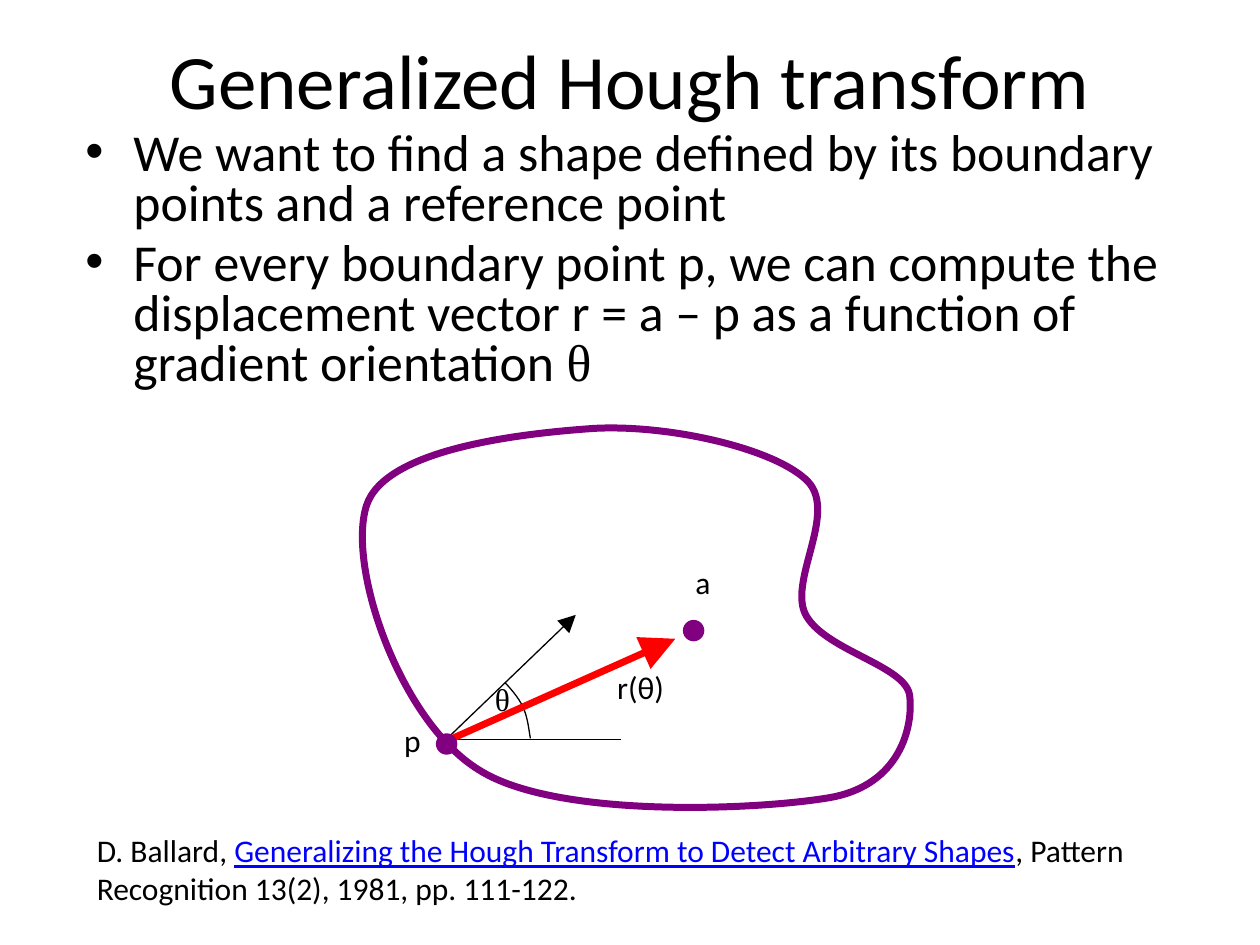
import pptx
import pptx.util
import pptx.dml.color
import pptx.enum.shapes
import pptx.enum.text
import pptx.oxml.ns
from lxml import etree

Inches = pptx.util.Inches
Pt = pptx.util.Pt
qn = pptx.oxml.ns.qn
ALIGN = pptx.enum.text.PP_ALIGN
ANCHOR = pptx.enum.text.MSO_ANCHOR
COLORS = {"ink": "000000", "outline": "800080", "vector": "FF0000", "citation": "0000FF"}
BODY, SYMBOL = "Calibri", "Times New Roman"


def color(name):
    return pptx.dml.color.RGBColor.from_string(COLORS[name])


class HoughSlide:
    def __init__(self, slide, size=18):
        self.shapes = slide.shapes
        self.size = size

    def text(self, at, paragraphs, size=None, align=ALIGN.LEFT, anchor=ANCHOR.TOP,
             bullets=False, wrap=True):
        size = size or self.size
        frame = self.shapes.add_textbox(*map(Inches, at)).text_frame
        frame.word_wrap = wrap
        frame.vertical_anchor = anchor
        for index, runs in enumerate(paragraphs):
            paragraph = frame.add_paragraph() if index else frame.paragraphs[0]
            paragraph.alignment = align
            if bullets:
                self.bullet(paragraph)
                paragraph.line_spacing = 0.8
                paragraph.space_before = Pt(0.2 * size if index else 0)
            for words, font, ink in runs:
                run = paragraph.add_run()
                run.text = words
                run.font.name = font
                run.font.size = Pt(size)
                run.font.color.rgb = color(ink)
                if ink == "citation":
                    run.font.underline = True

    def bullet(self, paragraph):
        properties = paragraph._p.get_or_add_pPr()
        properties.set("marL", str(Inches(0.38)))
        properties.set("indent", str(Inches(-0.38)))
        etree.SubElement(properties, qn("a:buFont"), typeface="Arial")
        etree.SubElement(properties, qn("a:buChar"), char="•")

    def label(self, at, words, font=BODY, wrap=True):
        self.text(at, [[(words, font, "ink")]], wrap=wrap)

    def line(self, start, end, ink="ink", width=0.75, arrow=False):
        line = self.shapes.add_connector(
            pptx.enum.shapes.MSO_CONNECTOR.STRAIGHT, *map(Inches, start + end))
        line.line.color.rgb = color(ink)
        line.line.width = Pt(width)
        if arrow:
            etree.SubElement(line.line._get_or_add_ln(), qn("a:tailEnd"),
                             type="triangle", w="lg", len="lg")
        etree.SubElement(line._element.spPr, qn("a:effectLst"))

    def curve(self, start, points, ink="ink", width=0.75, close=False):
        builder = self.shapes.build_freeform(*map(Inches, start))
        builder.add_line_segments(
            [tuple(map(Inches, point)) for point in points], close=close)
        curve = builder.convert_to_shape()
        self.bend(curve)
        curve.shadow.inherit = False
        curve.fill.background()
        curve.line.color.rgb = color(ink)
        curve.line.width = Pt(width)

    def bend(self, curve):
        straights = list(curve._element.iter(qn("a:lnTo")))
        for first in range(0, len(straights), 3):
            bezier = etree.Element(qn("a:cubicBezTo"))
            straights[first].addprevious(bezier)
            for straight in straights[first:first + 3]:
                bezier.append(straight[0])
                straight.getparent().remove(straight)

    def dot(self, left, top, diameter=0.17):
        dot = self.shapes.add_shape(
            pptx.enum.shapes.MSO_SHAPE.OVAL,
            *map(Inches, (left, top, diameter, diameter)))
        dot.shadow.inherit = False
        dot.fill.solid()
        dot.fill.fore_color.rgb = color("outline")
        dot.line.fill.background()


def main():
    deck = pptx.Presentation()
    deck.slide_width, deck.slide_height = Inches(10), Inches(7.5)
    page = HoughSlide(deck.slides.add_slide(deck.slide_layouts[6]))

    page.label((3.11, 5.67, 0.47, 0.57), "p")
    page.text((0.5, 0, 9, 1.25), [[("Generalized Hough transform", BODY, "ink")]],
              size=44, align=ALIGN.CENTER, anchor=ANCHOR.MIDDLE)
    page.text((0.58, 1, 8.92, 2.33), [
        [("We want to find a shape defined by its boundary points and a reference point",
          BODY, "ink")],
        [("For every boundary point p, we can compute the displacement vector "
          "r = a – p as a function of gradient orientation ", BODY, "ink"),
         ("θ", SYMBOL, "ink")],
    ], size=29.6, bullets=True)
    page.text((0.67, 6.55, 8.83, 0.7), [[
        ("D. Ballard, ", BODY, "ink"),
        ("Generalizing the Hough Transform to Detect Arbitrary Shapes", BODY, "citation"),
        (", Pattern Recognition 13(2), 1981, pp. 111-122.", BODY, "ink"),
    ]])

    page.line((3.57, 5.87), (4.93, 5.87))
    page.dot(5.42, 4.92)
    page.label((5.42, 4.42, 0.47, 0.57), "a")
    page.line((3.55, 5.86), (4.57, 4.88), arrow=True)
    page.curve((4.01, 5.42), [
        (4.04, 5.45), (4.12, 5.54), (4.15, 5.61),
        (4.19, 5.69), (4.2, 5.81), (4.21, 5.86),
    ])
    page.label((3.83, 5.35, 0.39, 0.57), "θ", font=SYMBOL, wrap=False)
    page.curve((2.91, 4.01), [
        (3.06, 3.56), (4.14, 3.44), (4.72, 3.4),
        (5.3, 3.37), (6.11, 3.55), (6.39, 3.8),
        (6.67, 4.04), (6.26, 4.59), (6.39, 4.87),
        (6.53, 5.16), (7.19, 5.28), (7.22, 5.52),
        (7.25, 5.76), (7.15, 6.23), (6.59, 6.33),
        (6.01, 6.43), (4.41, 6.5), (3.8, 6.11),
        (3.18, 5.73), (2.75, 4.5), (2.91, 4.01),
    ], ink="outline", width=4, close=True)
    page.label((4.8, 5.25, 0.86, 0.57), "r(θ)")
    page.line((3.57, 5.87), (5.36, 5.07), ink="vector", width=4, arrow=True)
    page.dot(3.46, 5.82)

    deck.save("out.pptx")


if __name__ == "__main__":
    main()
